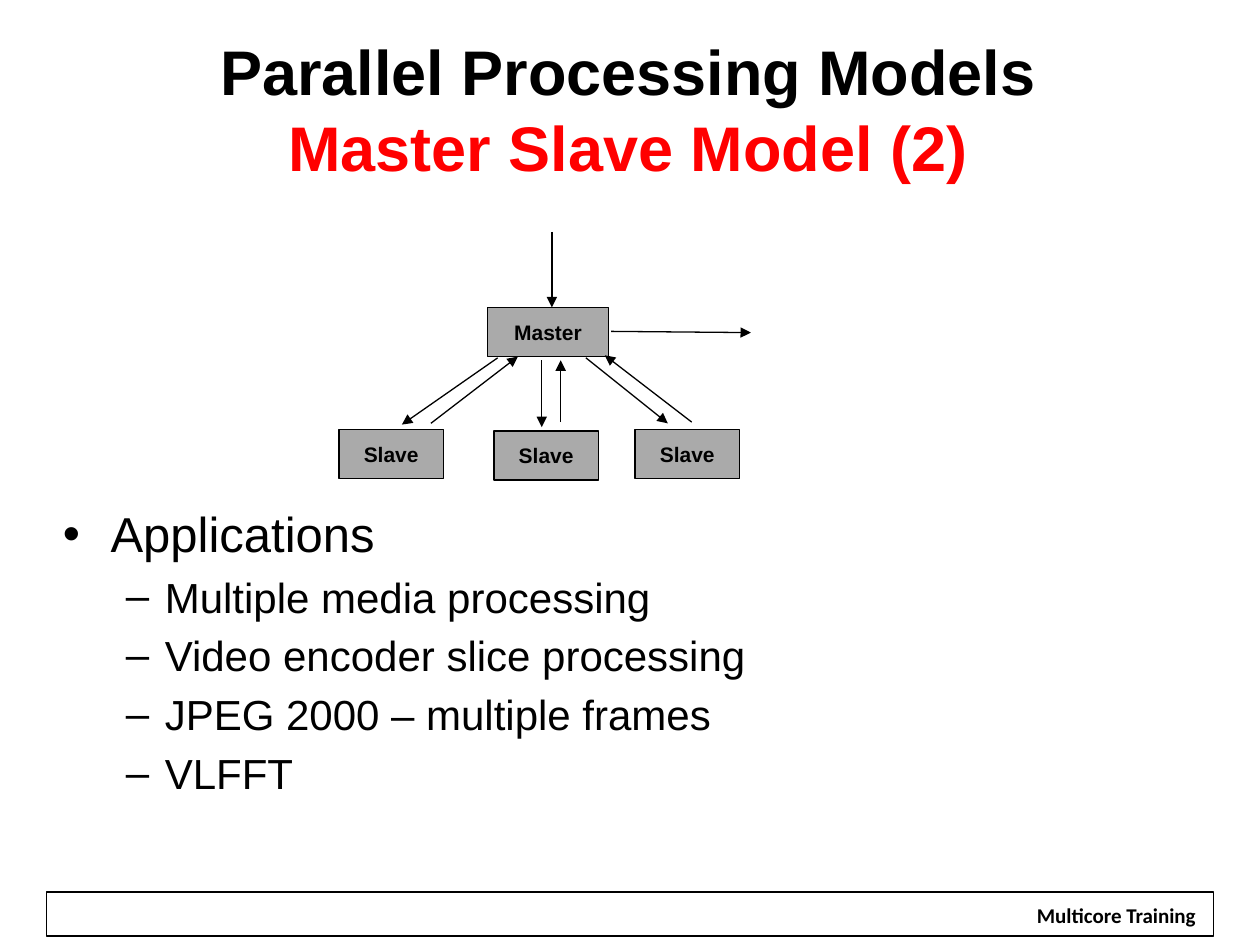
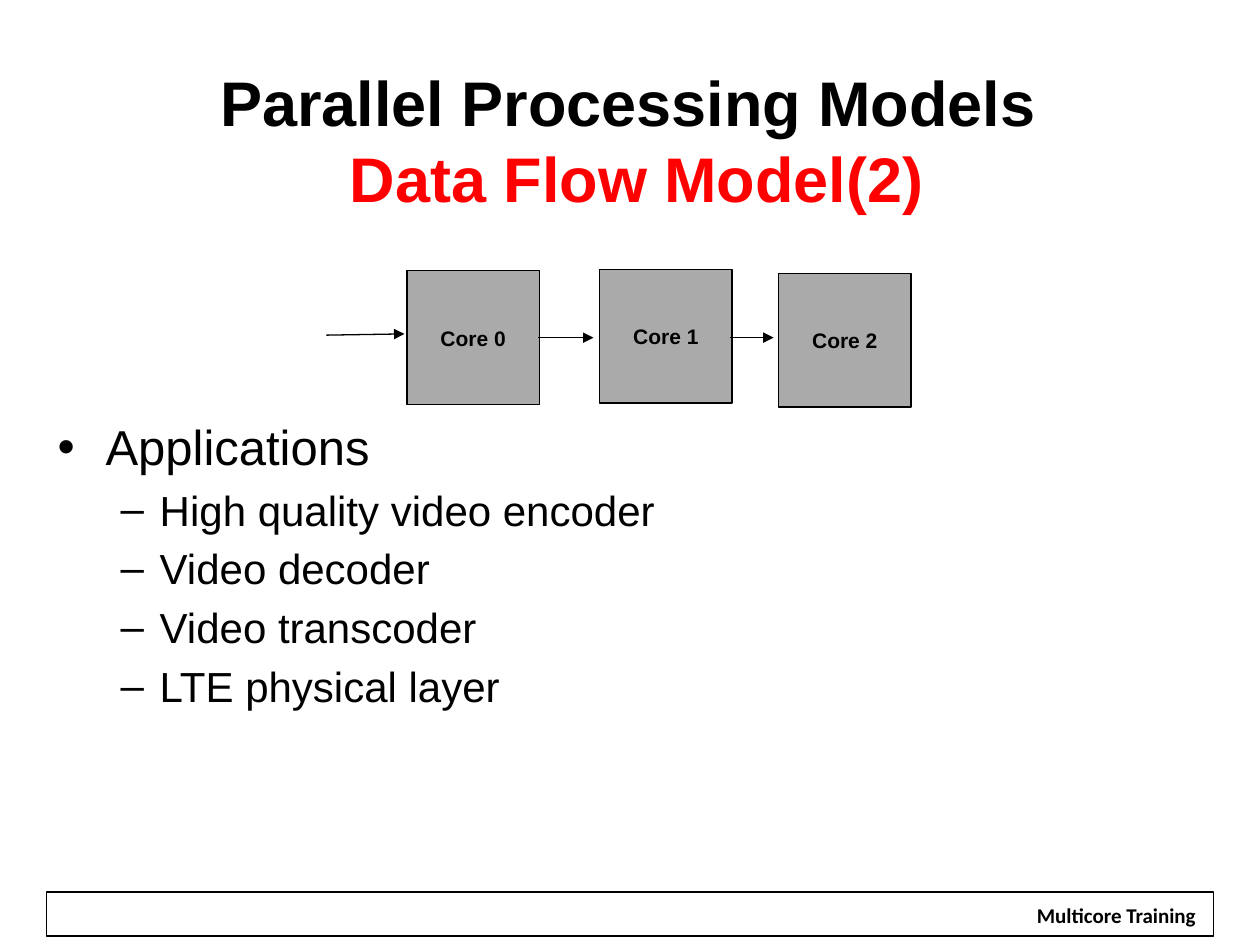
"""Build two slides on parallel processing models."""
from lxml.etree import SubElement
from pptx import Presentation
from pptx.dml.color import RGBColor
from pptx.enum.shapes import MSO_CONNECTOR, MSO_SHAPE
from pptx.enum.text import MSO_ANCHOR, PP_ALIGN
from pptx.oxml.ns import qn
from pptx.util import Inches, Pt

BLACK, RED, GRAY, WHITE = "000000", "FF0000", "AAAAAA", "FFFFFF"


def color(value):
    return RGBColor.from_string(value)


class Deck:
    def __init__(self, presentation):
        self.presentation = presentation
        self.slide = None

    def add_slide(self):
        self.slide = self.presentation.slides.add_slide(self.presentation.slide_layouts[6])
        self.rectangle(0.37, 7.08, 9.26, 0.35)
        label = self.rectangle(8.12, 7.11, 1.48, 0.3, fill=WHITE, line=None)
        self.label(label, "Multicore Training", "Calibri")

    def style(self, font, size, bold=False, name="Arial"):
        font.name, font.size, font.bold = name, Pt(size), bold
        font.color.rgb = color(BLACK)

    def text_frame(self, left, top, width, height):
        shape = self.slide.shapes.add_textbox(
            Inches(left), Inches(top), Inches(width), Inches(height))
        shape.text_frame.word_wrap = True
        return shape.text_frame

    def title(self, height, heading, model, bottom=0.05):
        frame = self.text_frame(0.36, 0.32, 9.25, height)
        frame.vertical_anchor = MSO_ANCHOR.MIDDLE
        frame.margin_bottom = Inches(bottom)
        paragraph = frame.paragraphs[0]
        paragraph.alignment = PP_ALIGN.CENTER
        self.style(paragraph.font, 36, bold=True)
        paragraph.add_run().text = heading
        paragraph.add_line_break()
        run = paragraph.add_run()
        run.text = model
        for run, value in zip(paragraph.runs, (BLACK, RED)):
            self.style(run.font, 36, bold=True)
            run.font.color.rgb = color(value)

    def bullets(self, left, top, width, height, heading, items):
        frame = self.text_frame(left, top, width, height)
        for index, text in enumerate([heading, *items]):
            paragraph = frame.add_paragraph() if index else frame.paragraphs[0]
            paragraph.text = text
            if index:
                paragraph.level = 1
                self.bullet(paragraph, "–", 24, 0.81, 0.31)
            else:
                self.bullet(paragraph, "•", 28, 0.38, 0.38)

    def bullet(self, paragraph, character, size, margin, hanging):
        properties = paragraph._p.get_or_add_pPr()
        properties.set("marL", str(Inches(margin)))
        properties.set("indent", str(-Inches(hanging)))
        spacing = SubElement(properties, qn("a:spcBef"))
        SubElement(spacing, qn("a:spcPct"), val="20000")
        SubElement(properties, qn("a:buFont"), typeface="Arial")
        SubElement(properties, qn("a:buChar"), char=character)
        self.style(paragraph.font, size)

    def rectangle(self, left, top, width, height, fill=None, line=BLACK):
        shape = self.slide.shapes.add_shape(
            MSO_SHAPE.RECTANGLE, Inches(left), Inches(top), Inches(width), Inches(height))
        shape.shadow.inherit = False
        if fill:
            shape.fill.solid()
            shape.fill.fore_color.rgb = color(fill)
        else:
            shape.fill.background()
        if line:
            shape.line.color.rgb = color(line)
            shape.line.width = Pt(0.75)
        else:
            shape.line.fill.background()
        return shape

    def label(self, shape, text, name="Arial"):
        frame = shape.text_frame
        frame.word_wrap = False
        frame.vertical_anchor = MSO_ANCHOR.MIDDLE
        paragraph = frame.paragraphs[0]
        paragraph.text = text
        paragraph.alignment = PP_ALIGN.CENTER
        self.style(paragraph.font, 12, bold=True, name=name)

    def node(self, text, left, top, width, height):
        self.label(self.rectangle(left, top, width, height, fill=GRAY), text)

    def arrow(self, *points):
        connector = self.slide.shapes.add_connector(
            MSO_CONNECTOR.STRAIGHT, *(Inches(point) for point in points))
        connector.line.color.rgb = color(BLACK)
        connector.line.width = Pt(0.75)
        SubElement(connector.line._get_or_add_ln(), qn("a:tailEnd"), type="triangle")
        SubElement(connector._element.spPr, qn("a:effectLst"))


def master_slave_slide(deck):
    deck.add_slide()
    deck.title(1.62, "Parallel Processing Models", "Master Slave Model (2)", bottom=0.59)
    deck.bullets(0.4, 3.95, 9.26, 3, "Applications", [
        "Multiple media processing", "Video encoder slice processing",
        "JPEG 2000 – multiple frames", "VLFFT"])
    deck.node("Master", 3.87, 2.44, 0.96, 0.39)
    for left, top in ((2.69, 3.41), (3.92, 3.42), (5.04, 3.41)):
        deck.node("Slave", left, top, 0.83, 0.39)
    data_in, data_out = (4.38, 1.84, 4.38, 2.44), (4.85, 2.63, 5.96, 2.64)
    to_slaves = ((3.95, 2.84, 3.19, 3.37), (4.3, 2.86, 4.3, 3.39), (4.65, 2.84, 5.3, 3.36))
    to_master = ((3.42, 3.36, 4.11, 2.83), (4.45, 3.35, 4.45, 2.86), (5.49, 3.35, 4.8, 2.82))
    for points in (data_in, *to_slaves, *to_master, data_out):
        deck.arrow(*points)


def data_flow_slide(deck):
    deck.add_slide()
    deck.title(1.57, "Parallel Processing Models", " Data Flow Model(2)")
    deck.bullets(0.36, 3.26, 9.26, 3.17, "Applications", [
        "High quality video encoder", "Video decoder",
        "Video transcoder", "LTE physical layer"])
    for index, (left, top) in enumerate(((3.23, 2.15), (4.76, 2.14), (6.18, 2.17))):
        deck.node(f"Core {index}", left, top, 1.05, 1.06)
    for points in ((2.59, 2.66, 3.21, 2.65), (4.27, 2.68, 4.71, 2.68), (5.79, 2.68, 6.14, 2.68)):
        deck.arrow(*points)


presentation = Presentation()
presentation.slide_width, presentation.slide_height = Inches(10), Inches(7.5)
deck = Deck(presentation)
master_slave_slide(deck)
data_flow_slide(deck)
presentation.save("out.pptx")
